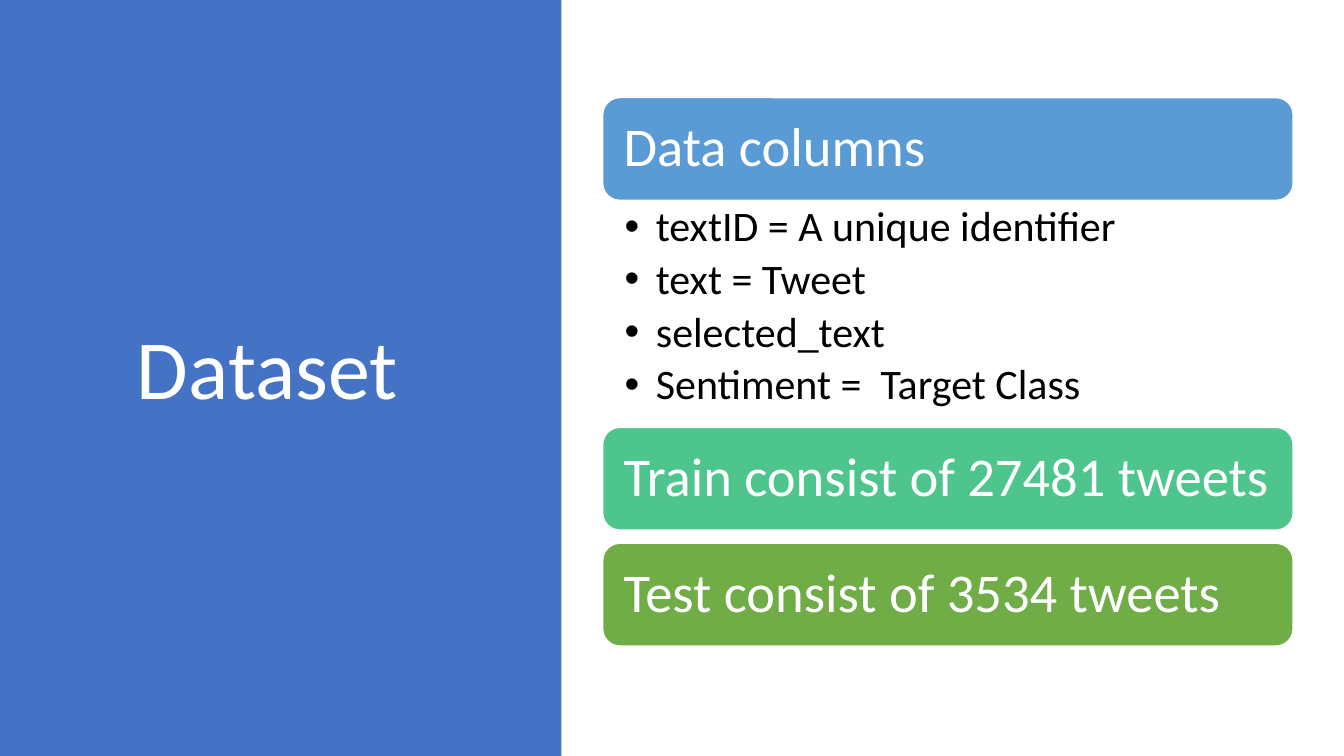
from dataclasses import dataclass

from lxml.etree import SubElement
from pptx import Presentation
from pptx.dml.color import RGBColor
from pptx.enum.shapes import MSO_SHAPE as Preset
from pptx.enum.text import MSO_ANCHOR as Anchor, PP_ALIGN as Align
from pptx.oxml.ns import qn
from pptx.util import Cm, Pt


@dataclass(frozen=True)
class Theme:
    font: str = "Calibri"
    panel: str = "4472C4"
    columns: str = "5B9BD5"
    train: str = "4DC58D"
    test: str = "70AD47"
    light: str = "FFFFFF"
    dark: str = "000000"
    title_size: float = 60
    bar_size: float = 39
    bullet_size: float = 30
    line_spacing: float = 0.9
    bullet_gap: float = 5.25


@dataclass(frozen=True)
class Box:
    left: float
    top: float
    width: float
    height: float

    def lengths(self):
        return Cm(self.left), Cm(self.top), Cm(self.width), Cm(self.height)


THEME = Theme()
SLIDE = Box(0, 0, 33.87, 19.05)
TITLE_PANEL = Box(0, 0, 14.15, SLIDE.height)
DATASET_LIST = Box(15.19, 2.46, 17.4, 13.82)
COLUMNS = [
    "textID = A unique identifier",
    "text = Tweet",
    "selected_text",
    "Sentiment =  Target Class",
]


def set_frame(frame, anchor, left, top, right, bottom):
    frame.word_wrap = True
    frame.vertical_anchor = anchor
    frame.margin_left, frame.margin_top = Cm(left), Cm(top)
    frame.margin_right, frame.margin_bottom = Cm(right), Cm(bottom)


def write(paragraph, text, size, color, align=Align.LEFT):
    paragraph.alignment = align
    paragraph.line_spacing = THEME.line_spacing
    run = paragraph.add_run()
    run.text = text
    run.font.name = THEME.font
    run.font.size = Pt(size)
    run.font.color.rgb = RGBColor.from_string(color)


def add_filled(slide, preset, box, color):
    shape = slide.shapes.add_shape(preset, *box.lengths())
    shape.shadow.inherit = False
    shape.fill.solid()
    shape.fill.fore_color.rgb = RGBColor.from_string(color)
    shape.line.fill.background()
    return shape


def add_bar(slide, box, text, color):
    bar = add_filled(slide, Preset.ROUNDED_RECTANGLE, box, color)
    bar.line.color.rgb = RGBColor.from_string(THEME.light)
    bar.line.width = Pt(1)
    set_frame(bar.text_frame, Anchor.MIDDLE, 0.4, 0.4, 0.2, 0.4)
    write(bar.text_frame.paragraphs[0], text, THEME.bar_size, THEME.light)


def add_bullets(slide, box, items):
    frame = slide.shapes.add_textbox(*box.lengths()).text_frame
    set_frame(frame, Anchor.TOP, 0.55, 0.13, 0.75, 0.13)
    for index, item in enumerate(items):
        paragraph = frame.add_paragraph() if index else frame.paragraphs[0]
        write(paragraph, item, THEME.bullet_size, THEME.dark)
        paragraph.space_after = Pt(THEME.bullet_gap)
        properties = paragraph._p.get_or_add_pPr()
        properties.set("marL", str(Cm(0.79)))
        properties.set("indent", str(-Cm(0.79)))
        SubElement(properties, qn("a:buFont"), typeface="Arial")
        SubElement(properties, qn("a:buChar"), char="•")


def build_title_panel(slide, box):
    panel = add_filled(slide, Preset.RECTANGLE, box, THEME.panel)
    title = slide.shapes.title
    title._element.addprevious(panel._element)
    title_box = Box(box.left + 1.45, box.top + 1.73, 10.57, 15.29)
    title.left, title.top, title.width, title.height = title_box.lengths()
    set_frame(title.text_frame, Anchor.MIDDLE, 0.25, 0.13, 0.25, 0.13)
    write(title.text_frame.paragraphs[0], "Dataset", THEME.title_size,
          THEME.light, Align.CENTER)


def build_dataset_list(slide, box):
    bar_height, gap = 2.59, 0.33
    bullets_height = box.height - 3 * bar_height - gap
    bullets_top = box.top + bar_height
    train_top = bullets_top + bullets_height
    test_top = train_top + bar_height + gap
    bars = [
        (box.top, "Data columns", THEME.columns),
        (train_top, "Train consist of 27481 tweets", THEME.train),
        (test_top, "Test consist of 3534 tweets", THEME.test),
    ]
    for top, text, color in bars:
        add_bar(slide, Box(box.left, top, box.width, bar_height), text, color)
    add_bullets(slide, Box(box.left, bullets_top, box.width, bullets_height), COLUMNS)


def main():
    presentation = Presentation()
    presentation.slide_width = Cm(SLIDE.width)
    presentation.slide_height = Cm(SLIDE.height)
    title_only = presentation.slide_layouts.get_by_name("Title Only")
    slide = presentation.slides.add_slide(title_only)
    build_title_panel(slide, TITLE_PANEL)
    build_dataset_list(slide, DATASET_LIST)
    presentation.save("out.pptx")


main()
